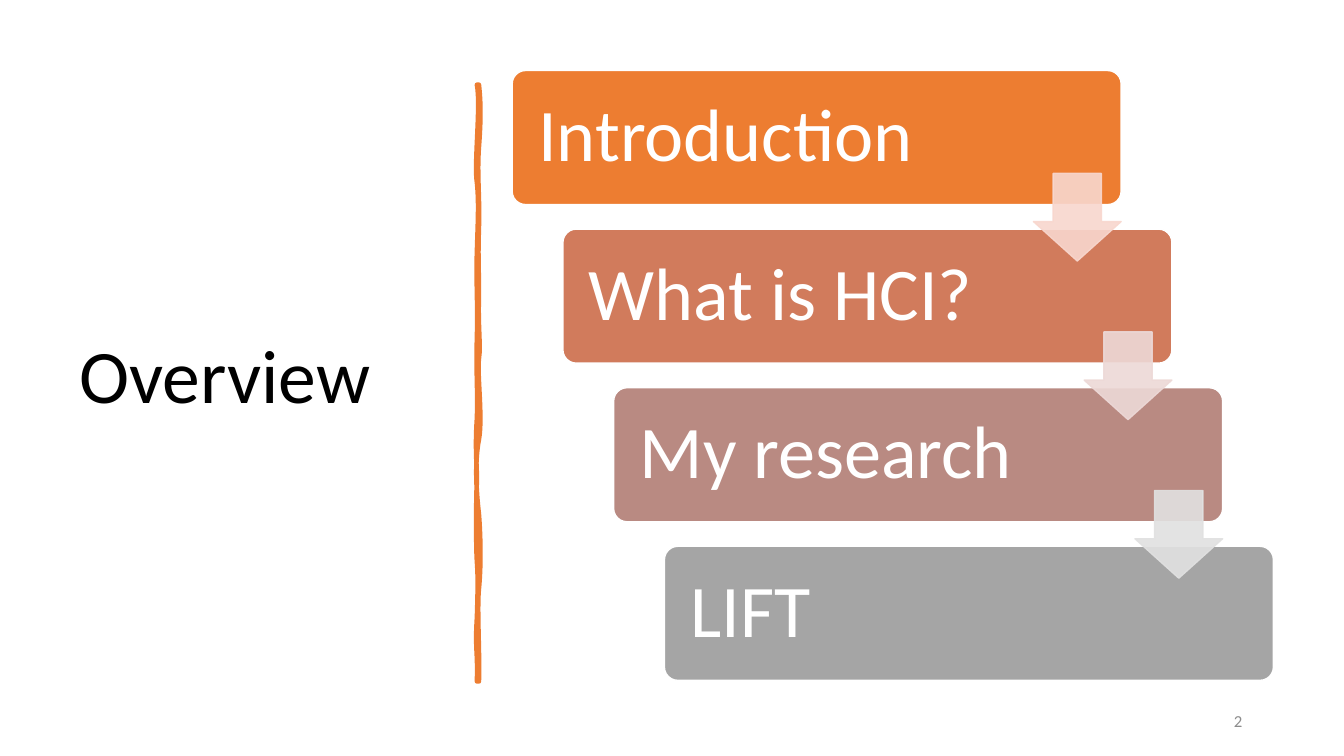
from lxml.etree import SubElement
from pptx import Presentation
from pptx.dml.color import RGBColor
from pptx.enum.shapes import MSO_SHAPE
from pptx.enum.text import MSO_ANCHOR, PP_ALIGN
from pptx.oxml.ns import qn
from pptx.util import Inches, Pt

FONT = "Calibri"
COLORS = {"title": "000000", "number": "8C8C8C", "white": "FFFFFF", "rule": "ED7D31"}
# Each step: label, box colour, colour of the arrow to the next step
STEPS = [
    ("Introduction", "ED7D31", "F8D7CE"),
    ("What is HCI?", "D17B5C", "EDD9D7"),
    ("My research", "B98A82", "E1E1E1"),
    ("LIFT", "A5A5A5", None),
]
GAPS = len(STEPS) - 1
STEP_X, STEP_Y = 1.51 / GAPS, 4.72 / GAPS
# Hand-drawn rule: a start point, then cubic curves (two controls and an end)
RULE_START = (4.75, 0.84)
RULE_CURVES = [
    ((4.77, 1.02), (4.77, 1.19), (4.75, 1.46)),
    ((4.73, 1.73), (4.76, 1.95), (4.75, 2.26)),
    ((4.74, 2.57), (4.75, 2.62), (4.75, 2.94)),
    ((4.74, 3.25), (4.77, 3.42), (4.75, 3.56)),
    ((4.73, 3.7), (4.79, 4.14), (4.75, 4.36)),
    ((4.71, 4.57), (4.72, 4.84), (4.75, 5.1)),
    ((4.77, 5.36), (4.77, 5.64), (4.75, 5.84)),
    ((4.73, 6.03), (4.76, 6.5), (4.75, 6.76)),
    ((4.74, 6.76), (4.73, 6.76), (4.73, 6.76)),
    ((4.74, 6.46), (4.71, 6.44), (4.73, 6.13)),
    ((4.74, 5.83), (4.74, 5.7), (4.73, 5.57)),
    ((4.72, 5.44), (4.72, 4.95), (4.73, 4.77)),
    ((4.73, 4.59), (4.71, 4.45), (4.73, 4.15)),
    ((4.74, 3.86), (4.72, 3.73), (4.73, 3.35)),
    ((4.74, 2.98), (4.72, 2.81), (4.73, 2.5)),
    ((4.74, 2.18), (4.75, 2), (4.73, 1.81)),
    ((4.7, 1.63), (4.77, 1.04), (4.73, 0.84)),
]


def paint(sp, color, line_color, width, alpha=None):
    sp.shadow.inherit = False
    sp.fill.solid()
    sp.fill.fore_color.rgb = RGBColor.from_string(color)
    sp.line.color.rgb = RGBColor.from_string(line_color)
    sp.line.width = Pt(width)
    if alpha is not None:
        for clr in sp._element.spPr.iter(qn("a:srgbClr")):
            SubElement(clr, qn("a:alpha"), val=str(alpha * 1000))


def write(sp, text, size, color, align=PP_ALIGN.LEFT, spacing=0.9):
    tf = sp.text_frame
    tf.word_wrap = True
    tf.vertical_anchor = MSO_ANCHOR.MIDDLE
    p = tf.paragraphs[0]
    p.text = text
    p.alignment = align
    p.line_spacing = spacing
    p.font.name = FONT
    p.font.size = Pt(size)
    p.font.color.rgb = RGBColor.from_string(color)


def add_text(s, left, top, width, height, *style):
    sp = s.shapes.add_textbox(Inches(left), Inches(top), Inches(width), Inches(height))
    write(sp, *style)


def bend(sp, curves):
    """Turn the straight segments of a freeform into cubic curves."""
    segments = list(sp._element.spPr.iter(qn("a:lnTo")))
    for segment, curve in zip(segments, curves):
        segment.tag = qn("a:cubicBezTo")
        segment.clear()
        for x, y in curve:
            SubElement(segment, qn("a:pt"), x=str(Inches(x) - sp.left),
                       y=str(Inches(y) - sp.top))


def add_rule(s):
    x, y = RULE_START
    builder = s.shapes.build_freeform(Inches(x), Inches(y))
    ends = [(Inches(x), Inches(y)) for _, _, (x, y) in RULE_CURVES]
    builder.add_line_segments(ends, close=True)
    sp = builder.convert_to_shape()
    bend(sp, RULE_CURVES)
    paint(sp, COLORS["rule"], COLORS["rule"], 3.25)


def add_step(s, i, label, color):
    sp = s.shapes.add_shape(
        MSO_SHAPE.ROUNDED_RECTANGLE, Inches(5.08 + i * STEP_X), Inches(0.7 + i * STEP_Y),
        Inches(6.04), Inches(1.33))
    sp.adjustments[0] = 0.1
    paint(sp, color, COLORS["white"], 1)
    sp.text_frame.margin_left = Inches(0.22)
    write(sp, label, 53, COLORS["white"])


def add_arrow(s, i, color):
    sp = s.shapes.add_shape(
        MSO_SHAPE.DOWN_ARROW, Inches(10.25 + i * STEP_X), Inches(1.72 + i * STEP_Y),
        Inches(0.87), Inches(0.87))
    sp.adjustments[0] = 0.55
    sp.adjustments[1] = 0.45
    paint(sp, color, color, 1, alpha=90)


def main():
    prs = Presentation()
    prs.slide_width, prs.slide_height = Inches(13.33), Inches(7.5)
    s = prs.slides.add_slide(prs.slide_layouts[6])
    add_text(s, 0.69, 0.7, 3.74, 6.11, "Overview", 54, COLORS["title"])
    add_rule(s)
    add_text(s, 9.42, 6.95, 3, 0.4, "2", 12, COLORS["number"], PP_ALIGN.RIGHT, 1.0)
    for i, (label, color, _) in enumerate(STEPS):
        add_step(s, i, label, color)
    for i, (_, _, arrow_color) in enumerate(STEPS[:-1]):
        add_arrow(s, i, arrow_color)
    prs.save("out.pptx")


if __name__ == "__main__":
    main()
